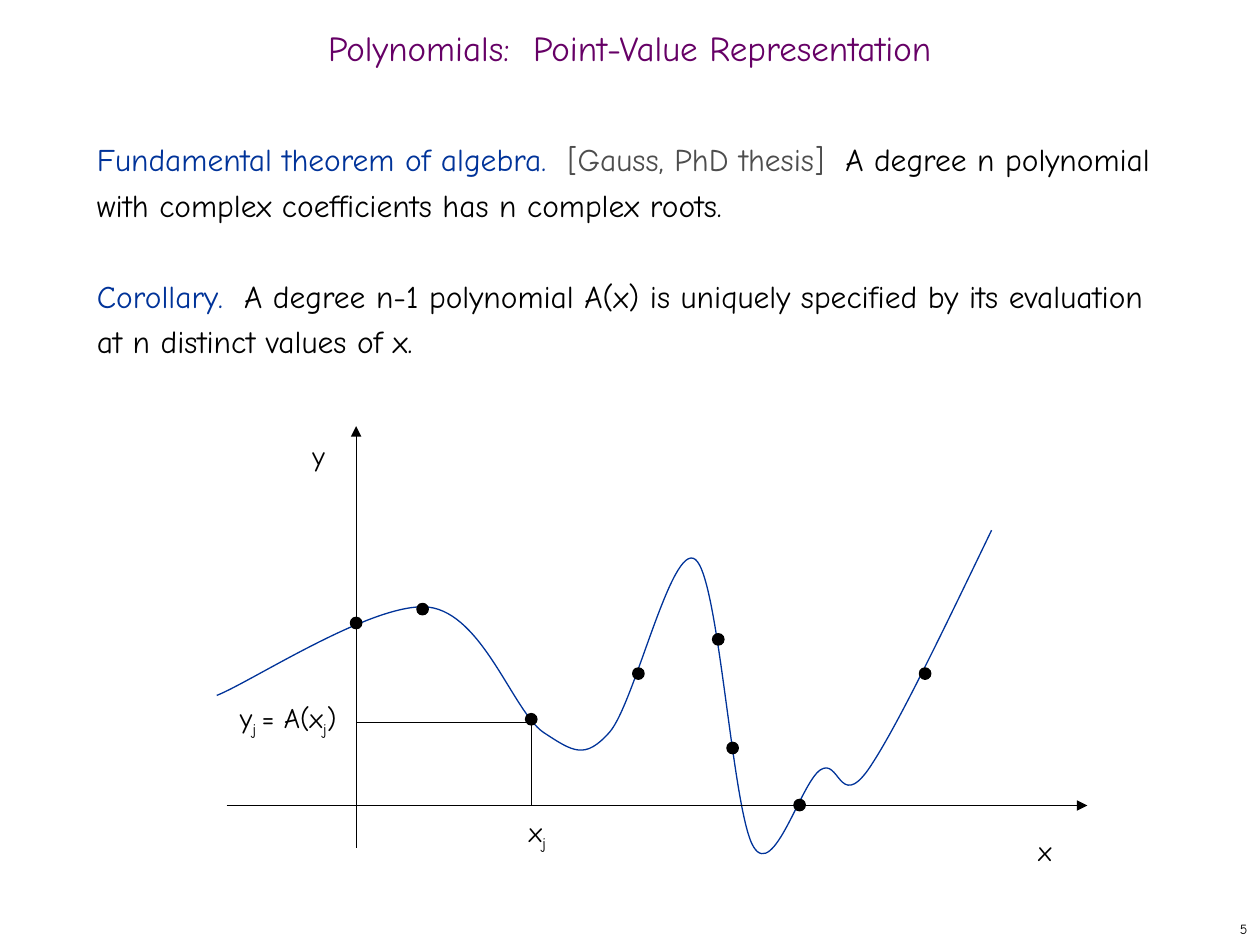
"""Build a slide on the point-value representation of polynomials."""
from lxml import etree
from pptx import Presentation
from pptx.dml.color import RGBColor
from pptx.enum.shapes import MSO_CONNECTOR, MSO_SHAPE
from pptx.enum.text import MSO_ANCHOR, MSO_AUTO_SIZE, PP_ALIGN
from pptx.oxml.ns import qn
from pptx.util import Cm, Pt

STRAIGHT = MSO_CONNECTOR.STRAIGHT
OVAL = MSO_SHAPE.OVAL
MIDDLE, TOP = MSO_ANCHOR.MIDDLE, MSO_ANCHOR.TOP
NO_FIT, GROW = MSO_AUTO_SIZE.NONE, MSO_AUTO_SIZE.SHAPE_TO_FIT_TEXT
LEFT, CENTER, RIGHT = PP_ALIGN.LEFT, PP_ALIGN.CENTER, PP_ALIGN.RIGHT

BLACK = RGBColor(0x00, 0x00, 0x00)
DOT_FILL = RGBColor(0x01, 0x00, 0x00)
BLUE = RGBColor(0x00, 0x33, 0x99)
GRAY = RGBColor(0x4D, 0x4D, 0x4D)
PURPLE = RGBColor(0x66, 0x00, 0x66)

THEOREM = [
    ("Fundamental theorem of algebra.  ", BLUE),
    ("[Gauss, PhD thesis]  ", GRAY),
    ("A degree n polynomial with complex coefficients has n complex roots.", BLACK),
]
COROLLARY = [
    ("Corollary.  ", BLUE),
    ("A degree n-1 polynomial A(x) is uniquely specified by its evaluation "
     "at n distinct values of x.", BLACK),
]
CURVE_START = (4.37, 14.02)
CURVE_POINTS = [
    (5.08, 13.74), (7.54, 12.12), (8.64, 12.24),
    (9.73, 12.37), (10.34, 14.33), (10.95, 14.76),
    (11.56, 15.16), (11.79, 15.32), (12.29, 14.76),
    (12.8, 14.17), (13.54, 10.9), (14.02, 11.28),
    (14.5, 11.66), (14.76, 16.36), (15.19, 17.07),
    (15.6, 17.75), (16.15, 15.77), (16.54, 15.52),
    (16.92, 15.27), (16.92, 16.33), (17.5, 15.52),
    (18.06, 14.71), (19.02, 12.7), (19.99, 10.69),
]
SAMPLES = [(7.18, 12.56), (8.52, 12.28), (10.71, 14.5), (12.87, 13.58),
           (14.48, 12.89), (14.77, 15.08), (16.12, 16.23), (18.65, 13.58)]
AXIS_X, AXIS_Y = 7.18, 16.24
GUIDE_X, GUIDE_Y = 10.72, 14.56


def write(para, text, size=16, color=BLACK, font="Comic Neue", subscript=False):
    span = para.add_run()
    span.text = text
    span.font.name = font
    span.font.size = Pt(size)
    span.font.color.rgb = color
    if subscript:
        span._r.get_or_add_rPr().set("baseline", "-25000")


class Sketch:
    def __init__(self, page, line_width=0.75, dot_size=0.23):
        self.page = page
        self.line_width = Pt(line_width)
        self.dot_size = dot_size

    def place(self, box, left, top, width, height, anchor=TOP, fit=NO_FIT, wrap=True):
        box.left, box.top, box.width, box.height = map(Cm, (left, top, width, height))
        frame = box.text_frame
        frame.auto_size = fit
        frame.word_wrap = wrap
        frame.vertical_anchor = anchor
        return frame

    def title(self, text):
        frame = self.place(self.page.shapes.title, 0, 0.43, 25.4, 1.27, anchor=MIDDLE)
        para = frame.paragraphs[0]
        para.alignment = CENTER
        para.line_spacing = 0.7
        write(para, text, size=20, color=PURPLE)

    def body(self, statements):
        frame = self.place(self.page.placeholders[1], 1.7, 2.55, 21.79, 15.04)
        for index, statement in enumerate(statements):
            para = frame.add_paragraph() if index else frame.paragraphs[0]
            properties = para._p.get_or_add_pPr()
            properties.set("marL", "0")
            properties.set("indent", "0")
            etree.SubElement(properties, qn("a:buNone"))
            para.alignment = LEFT
            para.line_spacing = Pt(26)
            para.space_before = Pt(26 if index else 0)
            for text, color in statement:
                write(para, text, size=18, color=color)

    def label(self, parts, *area, align=CENTER, size=16, **layout):
        box = self.page.shapes.add_textbox(0, 0, 0, 0)
        para = self.place(box, *area, **layout).paragraphs[0]
        para.alignment = align
        for index, text in enumerate(parts):
            write(para, text, size=size, subscript=index % 2 == 1)

    def line(self, start, end, arrow=False):
        line = self.page.shapes.add_connector(STRAIGHT, *map(Cm, start + end))
        line.line.color.rgb = BLACK
        line.line.width = self.line_width
        if arrow:
            etree.SubElement(line.line._get_or_add_ln(), qn("a:tailEnd"), type="triangle")
        etree.SubElement(line._element.spPr, qn("a:effectLst"))

    def dot(self, x, y):
        half = self.dot_size / 2
        dot = self.page.shapes.add_shape(
            OVAL, Cm(x - half), Cm(y - half), Cm(self.dot_size), Cm(self.dot_size))
        dot.shadow.inherit = False
        dot.fill.solid()
        dot.fill.fore_color.rgb = DOT_FILL
        dot.line.color.rgb = BLACK
        dot.line.width = self.line_width

    def curve(self, start, points):
        builder = self.page.shapes.build_freeform(*map(Cm, start))
        builder.add_line_segments([tuple(map(Cm, point)) for point in points], close=False)
        curve = builder.convert_to_shape()
        segments = list(curve._element.iter(qn("a:lnTo")))
        for first in range(0, len(segments), 3):
            bend = etree.Element(qn("a:cubicBezTo"))
            segments[first].addprevious(bend)
            for segment in segments[first:first + 3]:
                bend.append(segment[0])
                segment.getparent().remove(segment)
        curve.shadow.inherit = False
        curve.fill.background()
        curve.line.color.rgb = BLUE
        curve.line.width = self.line_width


def main():
    deck = Presentation()
    deck.slide_width, deck.slide_height = Cm(25.4), Cm(19.05)
    sketch = Sketch(deck.slides.add_slide(deck.slide_layouts[1]))
    sketch.label(["5"], 20.12, 18.41, 5.28, 0.64, align=RIGHT, size=8,
                 anchor=MIDDLE, wrap=False)
    sketch.title("Polynomials:  Point-Value Representation")
    sketch.body([THEOREM, COROLLARY])
    sketch.curve(CURVE_START, CURVE_POINTS)
    sketch.line((AXIS_X, 17.09), (AXIS_X, 8.59), arrow=True)
    sketch.line((4.57, AXIS_Y), (21.92, AXIS_Y), arrow=True)
    sketch.line((GUIDE_X, GUIDE_Y), (GUIDE_X, AXIS_Y))
    sketch.line((GUIDE_X, GUIDE_Y), (AXIS_X, GUIDE_Y))
    for x, y in SAMPLES:
        sketch.dot(x, y)
    sketch.label(["x"], 20.39, 16.67, 1.35, 0.94, fit=GROW)
    sketch.label(["y"], 5.08, 8.71, 2.69, 0.94, fit=GROW)
    sketch.label(["x", "j"], 10.16, 16.3, 1.35, 1.02, fit=GROW)
    sketch.label(["y", "j ", "= A(x", "j", ")"], 4.21, 14, 3.2, 1.02, fit=GROW)
    deck.save("out.pptx")


if __name__ == "__main__":
    main()
